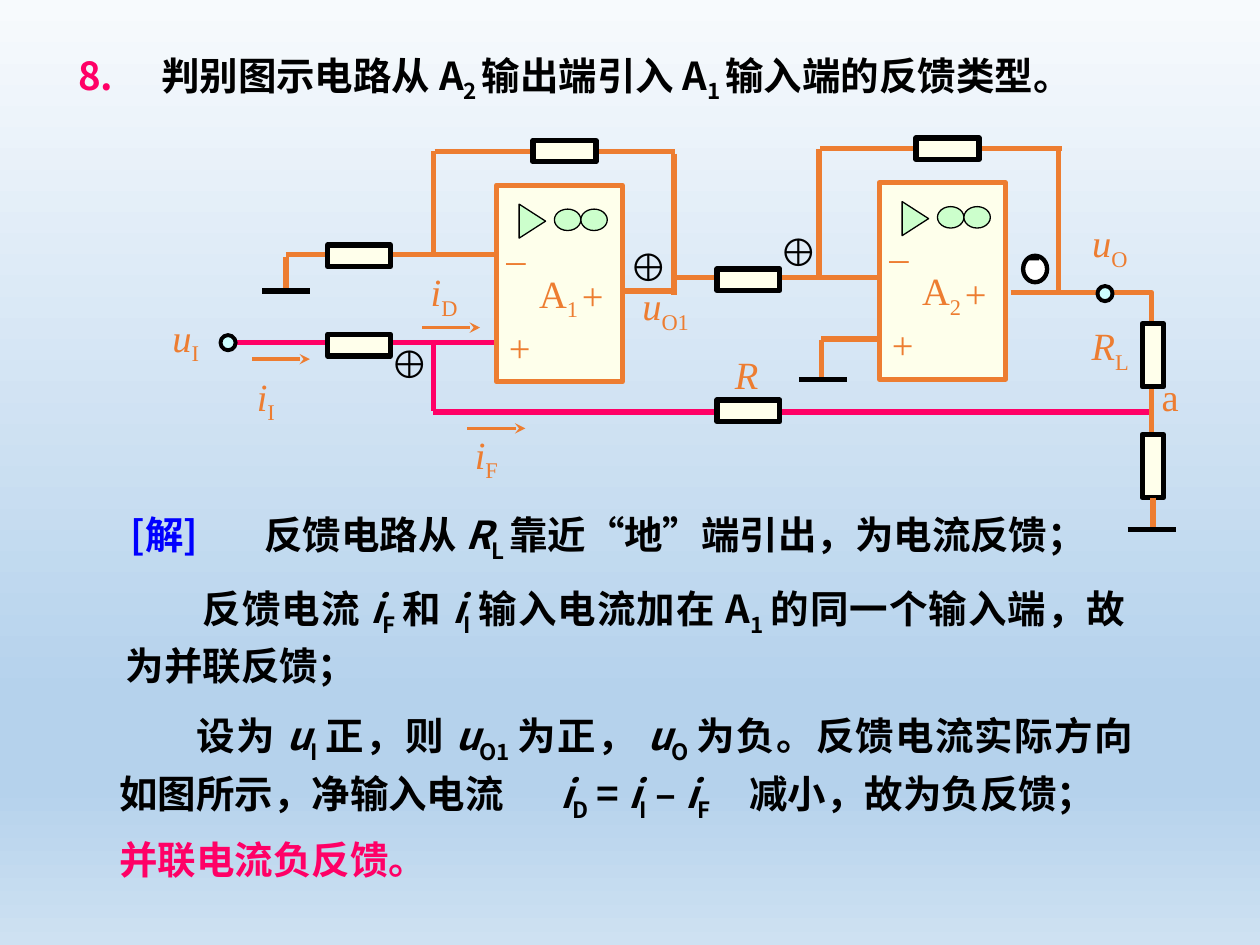
from pptx import Presentation
from pptx.dml.color import RGBColor
from pptx.enum.shapes import MSO_CONNECTOR as CONN, MSO_SHAPE as SHAPE
from pptx.enum.text import MSO_ANCHOR as ANCHOR, MSO_AUTO_SIZE as AUTO, PP_ALIGN as ALIGN
from pptx.oxml.ns import qn
from pptx.util import Inches, Pt
from lxml.etree import SubElement

ORANGE, PINK, BLACK, BLUE = "ED7D31", "FF0066", "000000", "0000FF"
SERIF, SANS = "Times New Roman", "Noto Sans CJK SC"
BACKGROUND = [(0, "F7FAFD"), (74, "B5D2EC"), (83, "B5D2EC"), (100, "CEE1F2")]


def rgb(value):
    return RGBColor.from_string(value)


def write(paragraph, text, color=BLACK, font=SANS, bold=True, size=22):
    """Add runs split at '|'; a leading '/' means italic, '_' subscript."""
    for part in text.split("|"):
        run = paragraph.add_run()
        run.text = part.lstrip("/_")
        run.font.name, run.font.size, run.font.bold = font, Pt(size), bold
        run.font.italic = part.startswith("/")
        run.font.color.rgb = rgb(color)
        props = run._r.get_or_add_rPr()
        SubElement(props, qn("a:ea"), typeface=font)
        if part.startswith("_"):
            props.set("baseline", "-25000")


class Circuit:
    """Style of the drawing and the slide it goes on."""

    resistor_long, resistor_short = 0.5, 0.17

    def __init__(self, slide):
        self.slide, self.shapes = slide, slide.shapes

    def background(self, stops):
        fill = self.slide.background.fill
        fill.gradient()
        fill.gradient_angle = 270
        stop_list = self.slide.element.xpath(".//a:gsLst")[0]
        for old in list(stop_list):
            stop_list.remove(old)
        for position, color in stops:
            stop = SubElement(stop_list, qn("a:gs"), pos=str(position * 1000))
            SubElement(stop, qn("a:srgbClr"), val=color)

    def wire(self, x1, y1, x2, y2, color=ORANGE, width=3, arrow=False):
        line = self.shapes.add_connector(
            CONN.STRAIGHT, Inches(x1), Inches(y1), Inches(x2), Inches(y2))
        line.line.color.rgb, line.line.width = rgb(color), Pt(width)
        if arrow:
            SubElement(line.line._get_or_add_ln(), qn("a:tailEnd"), type="stealth")
        SubElement(line._element.spPr, qn("a:effectLst"))
        return line

    def path_wire(self, start, *points):
        builder = self.shapes.build_freeform(*map(Inches, start))
        builder.add_line_segments([tuple(map(Inches, p)) for p in points], close=False)
        wire = builder.convert_to_shape()
        wire.shadow.inherit = False
        wire.fill.background()
        wire.line.color.rgb, wire.line.width = rgb(ORANGE), Pt(3)

    def block(self, kind, x, y, w, h, fill, line=BLACK, width=3, shapes=None):
        block = (shapes or self.shapes).add_shape(kind, *map(Inches, (x, y, w, h)))
        block.shadow.inherit = False
        block.fill.solid()
        block.fill.fore_color.rgb = rgb(fill)
        block.line.color.rgb, block.line.width = rgb(line), Pt(width)
        return block

    def resistor(self, cx, cy, upright=False):
        w, h = self.resistor_long, self.resistor_short
        if upright:
            w, h = h, w
        return self.block(SHAPE.RECTANGLE, cx - w / 2, cy - h / 2, w, h, "FFFFEB")

    def terminal(self, x, y):
        self.block(SHAPE.OVAL, x, y, 0.12, 0.12, "CCFFFF", width=2.25)

    def label(self, text, x, y, w, color=ORANGE, align=ALIGN.LEFT, shapes=None):
        frame = (shapes or self.shapes).add_textbox(
            *map(Inches, (x, y, w, 0.47))).text_frame
        frame.word_wrap = w > 0.48  # narrow labels stay on one line
        frame.paragraphs[0].alignment = align
        write(frame.paragraphs[0], text, color, SERIF, bold=False)

    def amplifier(self, name, x, y):
        parts = self.shapes.add_group_shape().shapes
        self.block(SHAPE.RECTANGLE, x, y, 1, 1.56, "FEFFEB", ORANGE, shapes=parts)
        gain = self.block(SHAPE.FLOWCHART_MERGE, x + 0.15, y + 0.18, 0.27, 0.21,
                          "CCFFCC", width=0.75, shapes=parts)
        gain.rotation = 270
        for dx in (0.46, 0.67):
            self.block(SHAPE.OVAL, x + dx, y + 0.19, 0.21, 0.17, "CCFFCC",
                       width=0.75, shapes=parts)
        for sign, dx, dy, w in (("–", -0.02, 0.35, 0.35), ("+", 0, 1.05, 0.38),
                                ("+", 0.58, 0.64, 0.38)):
            self.label(sign, x + dx, y + dy, w, shapes=parts)
        self.label(name, x + 0.24, y + 0.62, 0.67)

    def passage(self, pieces, x, y, w, h, box=None, indent=0, tabs=(),
                anchor=ANCHOR.MIDDLE, align=ALIGN.LEFT, spacing=1):
        if box is None:
            box = self.shapes.add_textbox(0, 0, 0, 0)
        box.left, box.top, box.width, box.height = map(Inches, (x, y, w, h))
        frame = box.text_frame
        frame.word_wrap, frame.auto_size = True, AUTO.NONE
        frame.vertical_anchor = anchor
        paragraph = frame.paragraphs[0]
        paragraph.alignment, paragraph.line_spacing = align, spacing
        props = paragraph._p.get_or_add_pPr()
        if indent:
            props.set("indent", str(Inches(indent)))
        if tabs:
            tab_list = SubElement(props, qn("a:tabLst"))
            for stop in tabs:
                SubElement(tab_list, qn("a:tab"), pos=str(Inches(stop)), algn="l")
        for text, color in pieces:
            write(paragraph, text, color)


def main():
    deck = Presentation()
    deck.slide_width, deck.slide_height = Inches(10), Inches(7.5)
    slide = deck.slides.add_slide(deck.slide_layouts[5])
    circuit = Circuit(slide)
    circuit.background(BACKGROUND)

    # Question
    circuit.passage([("8.\t", PINK),
                     ("判别图示电路从 A|_2 |输出端引入 A|_1 |输入端的反馈类型。", BLACK)],
                    0.52, 0.36, 8.6, 0.47, box=slide.shapes.title, tabs=[0.66],
                    anchor=ANCHOR.TOP)

    # Amplifiers
    circuit.amplifier("A|_1", 3.94, 1.47)
    circuit.amplifier("A|_2", 6.98, 1.45)

    # Wiring
    circuit.path_wire((8.02, 2.32), (9.14, 2.32), (9.14, 3.64))
    for ends in ((3.44, 1.2, 3.44, 2.03), (5.35, 1.22, 5.35, 2.34),
                 (3.45, 1.2, 5.36, 1.2), (5.36, 2.2, 6.96, 2.2),
                 (6.52, 2.69, 7, 2.69), (6.52, 2.7, 6.52, 2.99),
                 (6.5, 1.18, 6.5, 2.22), (8.4, 1.2, 8.4, 2.32),
                 (6.51, 1.18, 8.43, 1.18), (4.94, 2.31, 5.35, 2.31),
                 (2.27, 2.04, 2.27, 2.31), (2.27, 2.02, 3.92, 2.02)):
        circuit.wire(*ends)
    for ends in ((3.44, 2.72, 3.44, 3.26), (3.44, 3.27, 9.12, 3.27),
                 (1.75, 2.72, 3.92, 2.72)):
        circuit.wire(*ends, color=PINK)

    # Resistors, terminals and grounds
    for cx, cy in ((4.48, 1.2), (7.52, 1.18), (2.85, 2.03), (2.85, 2.74),
                   (5.94, 2.22), (5.94, 3.26)):
        circuit.resistor(cx, cy)
    circuit.resistor(9.15, 2.82, upright=True)
    sensing = circuit.resistor(9.15, 3.7, upright=True)
    circuit.wire(9.15, 3.95, 9.15, 4.2).begin_connect(sensing, 2)
    for x, y in ((2.08, 2.31), (6.34, 3.01), (8.95, 4.2)):
        circuit.wire(x, y, x + 0.38, y, color=BLACK)
    circuit.terminal(8.71, 2.27)
    circuit.terminal(1.75, 2.66)

    # Current arrows
    for x, y in ((2, 2.85), (3.35, 2.6), (3.71, 3.4)):
        circuit.wire(x, y, x + 0.46, y, width=2, arrow=True)

    # Signal names
    for text, x, y, w in (("/u|_O", 8.57, 1.69, 0.77), ("/u|_I", 1.27, 2.44, 0.45),
                          ("/u|_O1", 5, 2.19, 0.77), ("/i|_I", 1.94, 2.91, 0.37),
                          ("/i|_D", 3.32, 2.08, 0.44), ("/i|_F", 3.67, 3.37, 0.41),
                          ("a", 9.12, 2.91, 0.79)):
        circuit.label(text, x, y, w)
    circuit.label("/R", 5.68, 2.74, 0.49, align=ALIGN.CENTER)
    circuit.label("/R|_L", 8.54, 2.51, 0.54, align=ALIGN.CENTER)

    # Polarity marks
    for x, y in ((3, 2.65), (4.9, 1.88), (6.09, 1.76)):
        circuit.label("⊕", x, y, 0.5, color=BLACK)
    negative = circuit.shapes.add_group_shape().shapes
    circuit.block(SHAPE.OVAL, 8.12, 2.03, 0.19, 0.21, "FFFFFF", width=2.5,
                  shapes=negative)
    circuit.label("-", 8.06, 1.78, 0.65, color=BLACK, shapes=negative)

    # Solution
    circuit.passage([("[解]\t", BLUE),
                     ("反馈电路从 |/R|_L |靠近“地”端引出，为电流反馈；", BLACK)],
                    0.94, 4.03, 8.7, 0.47, tabs=[1.06])
    circuit.passage([("反馈电流 |/i|_F |和 |/i|_I |输入电流加在 A|_1 |"
                      "的同一个输入端，故为并联反馈；", BLACK)],
                    0.9, 4.58, 8.13, 0.91, indent=0.61, align=ALIGN.JUSTIFY, spacing=1.1)
    circuit.passage([("设为 |/u|_I |正，则 |/u|_O1 |为正， |/u|_O |为负。"
                      "反馈电流实际方向如图所示，净输入电流\t|/i|_D| = |/i|_I| – |/i|_F|"
                      "\t减小，故为负反馈；", BLACK)],
                    0.85, 5.61, 8.24, 0.92, indent=0.61, tabs=[3.73, 5.26],
                    align=ALIGN.JUSTIFY, spacing=1.1)
    circuit.passage([("并联电流负反馈。", PINK)], 0.85, 6.58, 2.73, 0.47)

    deck.save("out.pptx")


if __name__ == "__main__":
    main()
